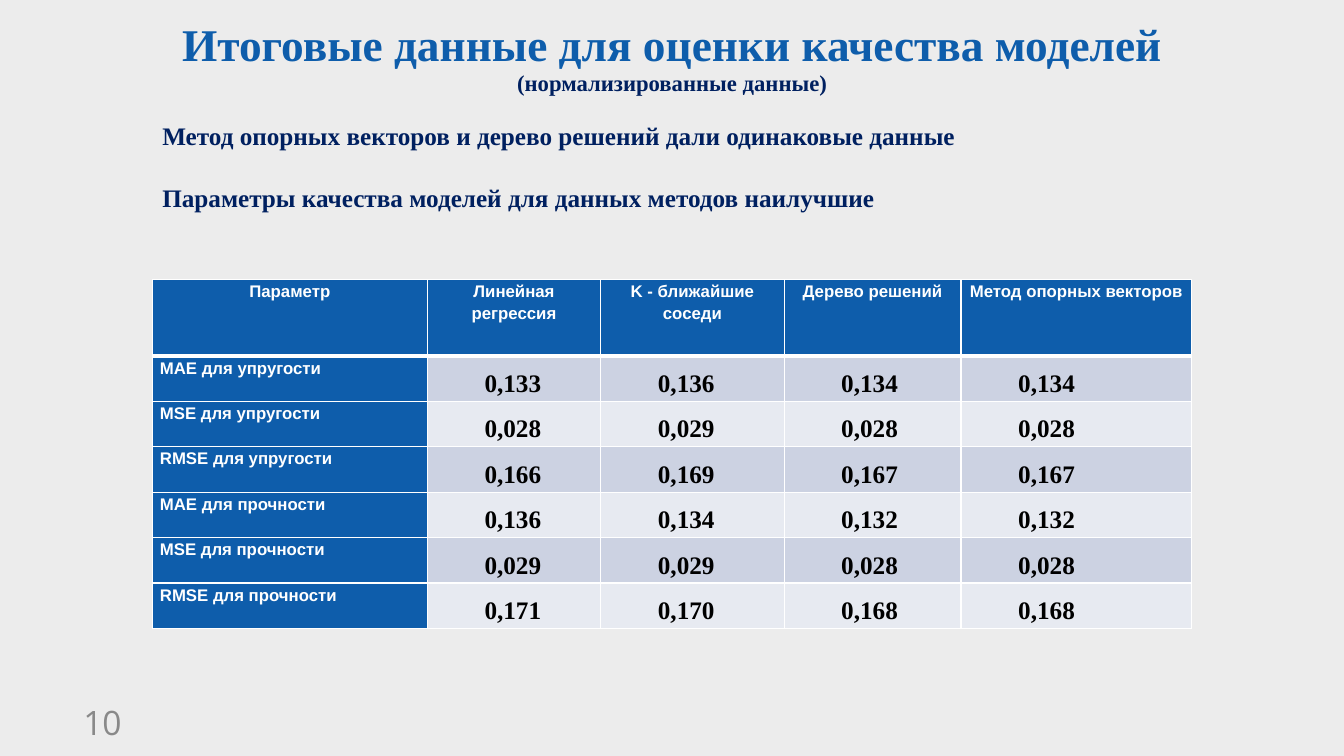
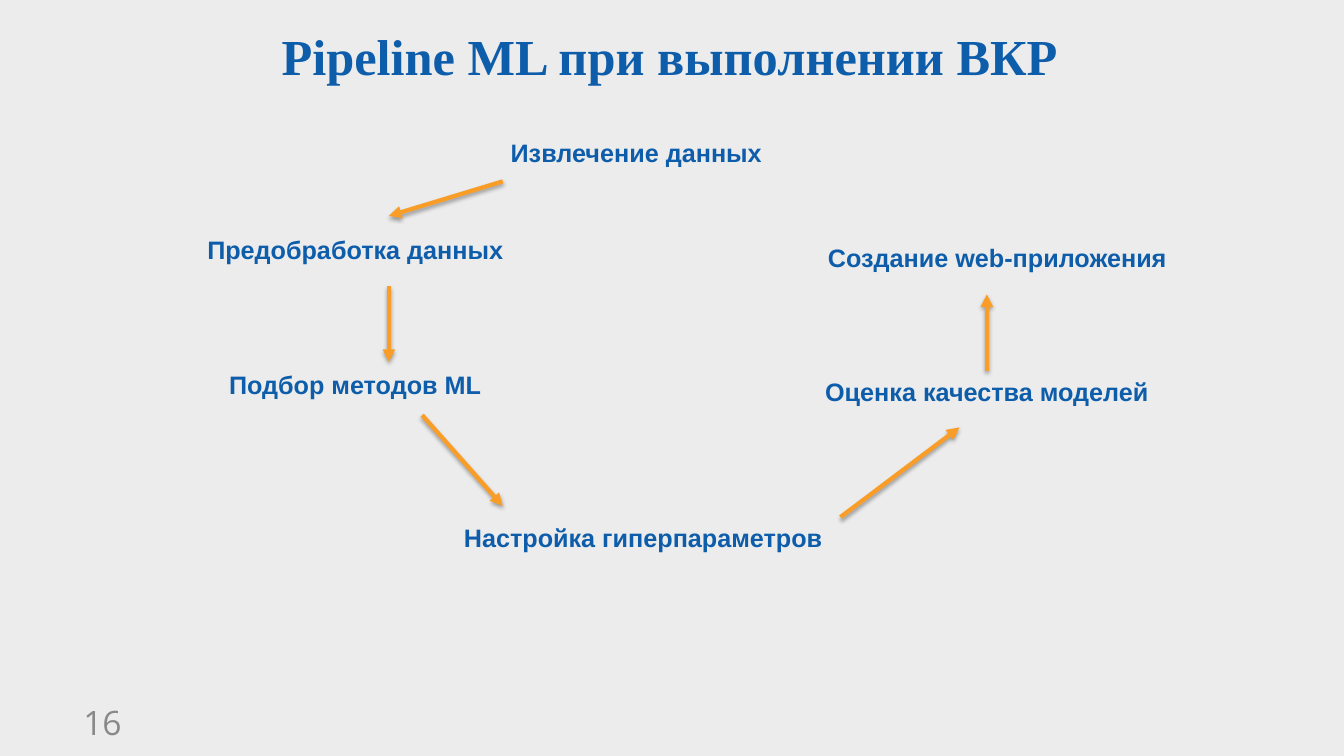
"""Build two slides: a table of model quality and an ML pipeline."""
from dataclasses import dataclass
from typing import Any

from lxml import etree
from pptx import Presentation
from pptx.dml.color import RGBColor
from pptx.enum import shapes, text
from pptx.oxml import ns
from pptx.util import Cm, Pt


@dataclass(frozen=True)
class Theme:
    back: str = "ECECEC"
    blue: str = "0E5DAB"
    navy: str = "002060"
    grey: str = "898989"
    gold: str = "F99D27"
    white: str = "FFFFFF"
    black: str = "000000"
    bands: tuple = ("CCD2E2", "E7EAF1")
    serif: str = "Times New Roman"
    sans: str = "Arial"
    light: str = "Open Sans"
    title: float = 36
    long: float = 32.4
    sub: float = 16.2
    body: float = 18
    head: float = 12
    num: float = 24


def rgb(code):
    return RGBColor.from_string(code)


def node(host, tag, **attrs):
    return etree.SubElement(host, ns.qn(tag), {k: str(v) for k, v in attrs.items()})


@dataclass
class Deck:
    prs: Any
    look: Theme
    page: Any = None

    def start(self, num):
        self.page = self.prs.slides.add_slide(self.prs.slide_layouts[6])
        fill = self.page.background.fill
        fill.solid()
        fill.fore_color.rgb = rgb(self.look.back)
        self.label(str(num), (1.85, 17.68, 2.34, 1.02), self.look.light,
                   self.look.grey, size=self.look.num, bold=False, mid=True)

    def style(self, font, face, color, size, bold=True):
        font.name, font.size, font.bold = face, Pt(size), bold
        font.color.rgb = rgb(color)

    def label(self, words, box, face, color, size=None, bold=True,
              center=False, mid=False):
        frame = self.page.shapes.add_textbox(*map(Cm, box)).text_frame
        frame.word_wrap = True
        if mid:
            frame.vertical_anchor = text.MSO_ANCHOR.MIDDLE
        para = frame.paragraphs[0]
        para.text = words
        if center:
            para.alignment = text.PP_ALIGN.CENTER
        self.style(para.font, face, color, size or self.look.body, bold)
        return para

    def title(self, words, box, size, sub=None):
        look = self.look
        para = self.label(words, box, look.serif, look.blue, size,
                          center=True, mid=True)
        para.line_spacing = 0.9
        if sub:
            para.add_line_break()
            run = para.add_run()
            run.text = sub
            self.style(run.font, look.serif, look.navy, look.sub)

    def cell(self, cell, words, row, col):
        look = self.look
        cell.margin_left = cell.margin_right = Cm(0.19)
        cell.margin_top = cell.margin_bottom = 0
        props = cell._tc.get_or_add_tcPr()
        thick = {"a:lnB": row == 0, "a:lnT": row == 1}
        for side in ("a:lnL", "a:lnR", "a:lnT", "a:lnB"):
            line = node(props, side, w=Pt(3 if thick.get(side) else 1))
            node(node(line, "a:solidFill"), "a:srgbClr", val=look.white)
        para = cell.text_frame.paragraphs[0]
        para.text = words
        edge = row == 0 or col == 0
        cell.fill.solid()
        cell.fill.fore_color.rgb = rgb(look.blue if edge else look.bands[(row - 1) % 2])
        if edge:
            para.line_spacing = 1.15
            if row == 0:
                para.alignment = text.PP_ALIGN.CENTER
            self.style(para.font, look.sans, look.white, look.head)
        else:
            para.line_spacing = 1.5
            para.alignment = text.PP_ALIGN.JUSTIFY
            para._p.get_or_add_pPr().set("indent", str(Cm(1.25)))
            self.style(para.font, look.serif, look.black, look.body)

    def table(self, rows, left, top, wides, highs):
        size = map(Cm, (left, top, sum(wides), sum(highs)))
        grid = self.page.shapes.add_table(len(rows), len(wides), *size).table
        for col, wide in zip(grid.columns, wides):
            col.width = Cm(wide)
        for r, (row, high) in enumerate(zip(rows, highs)):
            grid.rows[r].height = Cm(high)
            for c, words in enumerate(row):
                self.cell(grid.cell(r, c), words, r, c)

    def arrow(self, *ends):
        line = self.page.shapes.add_connector(
            shapes.MSO_CONNECTOR.STRAIGHT, *map(Cm, ends))
        line.line.width = Pt(3)
        line.line.color.rgb = rgb(self.look.gold)
        node(line.line._get_or_add_ln(), "a:tailEnd", type="triangle")
        glow = node(node(line._element.spPr, "a:effectLst"), "a:outerShdw",
                    blurRad=Pt(3.1), dist=Pt(1.8), dir=90 * 60000, rotWithShape=0)
        node(node(glow, "a:srgbClr", val=self.look.black), "a:alpha", val=35000)


def quality(deck):
    look = deck.look
    deck.start(10)
    deck.title("Итоговые данные для оценки качества моделей",
               (0, 0.41, 33.87, 2.18), look.long, "(нормализированные данные)")
    rows = [
        ("Параметр", "Линейная регрессия", "K - ближайшие соседи",
         "Дерево решений", "Метод опорных векторов"),
        ("MAE для упругости", "0,133", "0,136", "0,134", "0,134"),
        ("MSE для упругости", "0,028", "0,029", "0,028", "0,028"),
        ("RMSE для упругости", "0,166", "0,169", "0,167", "0,167"),
        ("MAE для прочности", "0,136", "0,134", "0,132", "0,132"),
        ("MSE для прочности", "0,029", "0,029", "0,028", "0,028"),
        ("RMSE для прочности", "0,171", "0,170", "0,168", "0,168"),
    ]
    deck.table(rows, 3.84, 7.04, (6.93, 4.37, 4.62, 4.46, 5.81),
               [1.93] + [1.06] * 6)
    notes = ("Метод опорных векторов и дерево решений дали одинаковые данные",
             "Параметры качества моделей для данных методов наилучшие")
    for i, words in enumerate(notes):
        deck.label(words, (3.84, 2.9 + 1.56 * i, 23.5, 1.02), look.serif, look.navy)


def pipeline(deck):
    look = deck.look
    deck.start(16)
    deck.title("Pipeline ML при выполнении ВКР", (1.12, 0.36, 31.52, 2.29), look.title)
    steps = [
        ("Извлечение данных", 12.24, 3.33, 7.59),
        ("Предобработка данных", 4.75, 5.79, 8.41),
        ("Подбор методов ML", 5.23, 9.17, 7.44),
        ("Настройка гиперпараметров", 11.23, 13.03, 9.96),
        ("Оценка качества моделей", 20.22, 9.35, 9.3),
        ("Создание web-приложения", 20.07, 5.99, 10.13),
    ]
    for words, left, top, wide in steps:
        deck.label(words, (left, top, wide, 1.02), look.sans, look.blue, center=True)
    for ends in ((12.67, 4.57, 9.8, 5.44), (9.8, 7.21, 9.8, 9.12),
                 (10.64, 10.46, 12.67, 12.75), (21.18, 13.03, 24.18, 10.77),
                 (24.87, 9.35, 24.87, 7.42)):
        deck.arrow(*ends)


def main():
    prs = Presentation()
    prs.slide_width, prs.slide_height = Cm(33.87), Cm(19.05)
    deck = Deck(prs, Theme())
    quality(deck)
    pipeline(deck)
    prs.save("out.pptx")


if __name__ == "__main__":
    main()
